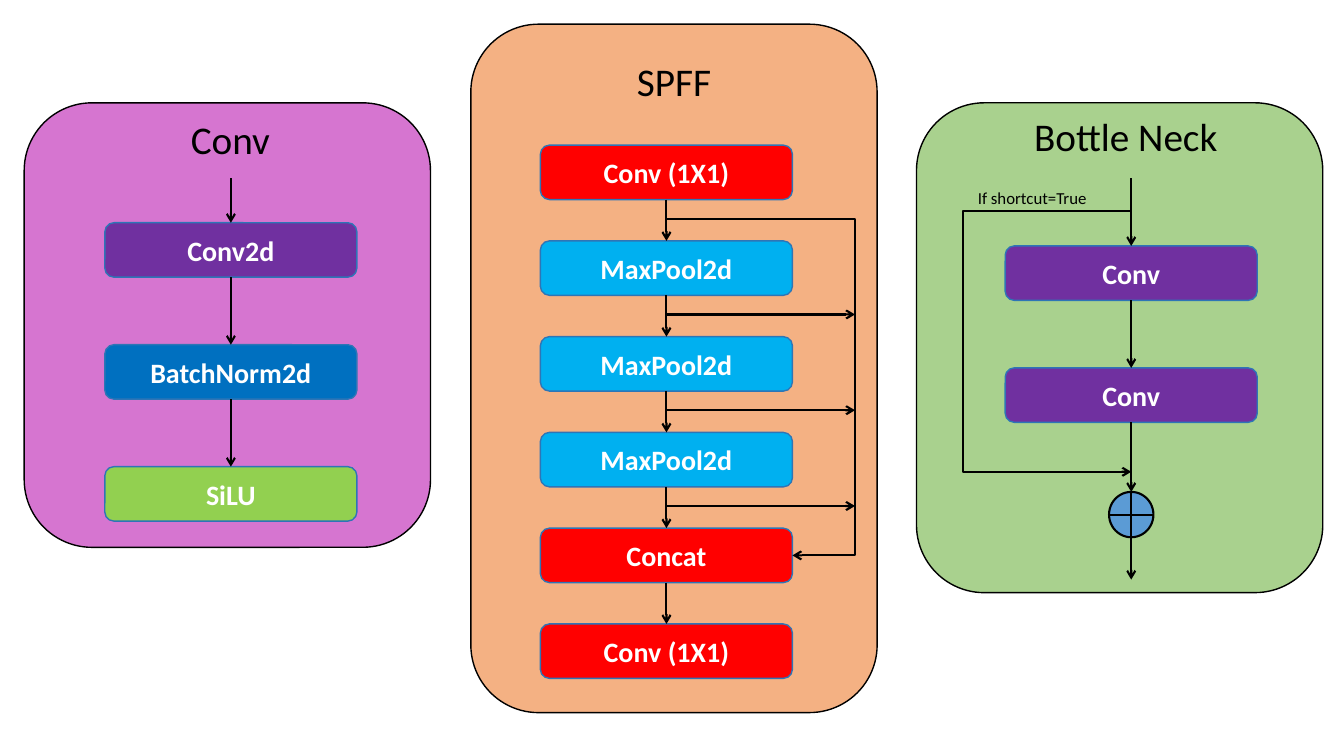
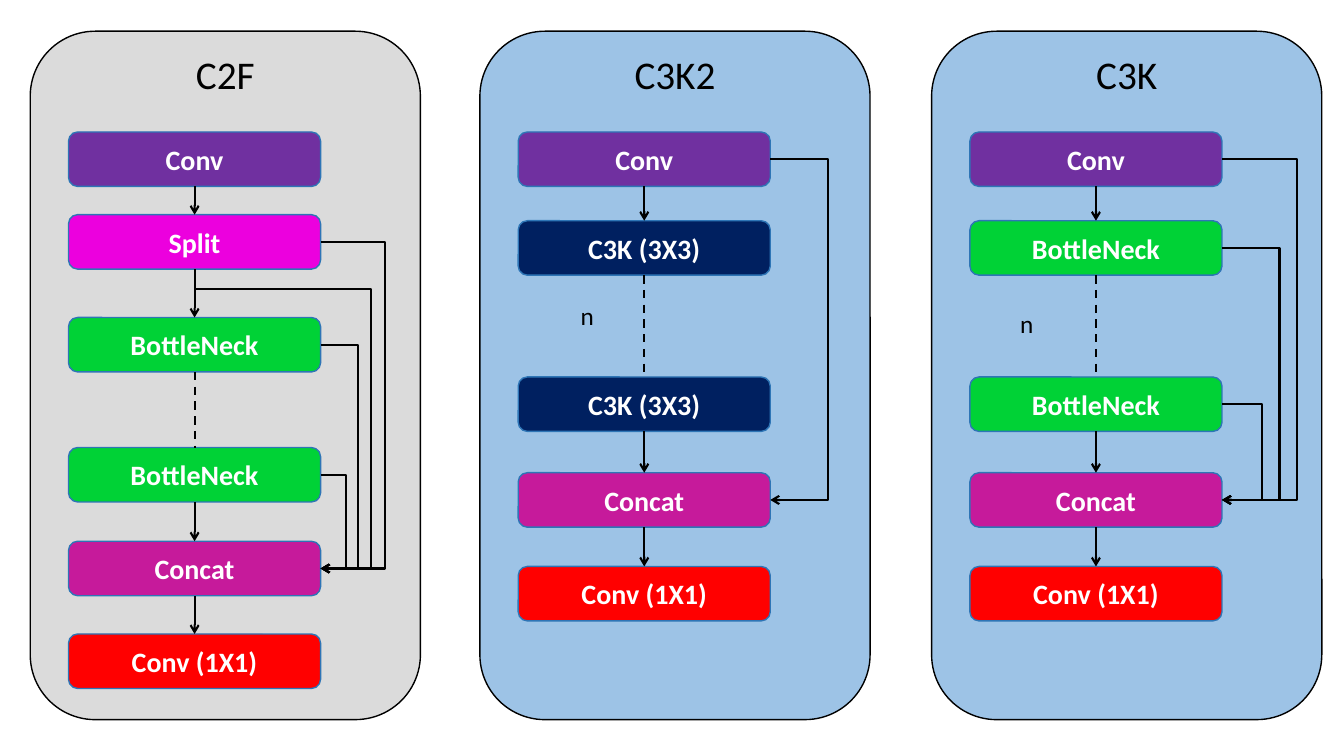
from lxml import etree
from pptx import Presentation
from pptx import util as u
from pptx.dml.color import RGBColor
from pptx.enum import dml, shapes, text
from pptx.oxml.ns import qn

COLORS = {
    "black": "000000", "white": "FFFFFF", "edge": "2E75B6",
    "orchid": "D675D0", "peach": "F4B183", "sage": "A9D18E",
    "grey": "DBDBDB", "sky": "9DC3E6", "purple": "7030A0",
    "blue": "0070C0", "lime": "92D050", "red": "FF0000",
    "cyan": "00B0F0", "steel": "5B9BD5", "pink": "EC00DE",
    "green": "00D236", "magenta": "C61A9B", "navy": "002060",
}
FONT = "Calibri"
BLOCK_W, BLOCK_H = 2.5, 0.54
LINE_PT = 1.5


def color(name):
    """Return the named colour."""
    return RGBColor.from_string(COLORS[name])


def write(shape, label, size, ink, bold=False, align=text.PP_ALIGN.CENTER):
    """Put one run of text into a shape."""
    paragraph = shape.text_frame.paragraphs[0]
    paragraph.alignment = align
    run = paragraph.add_run()
    run.text = label
    run.font.name = FONT
    run.font.size = u.Pt(size)
    run.font.bold = bold
    run.font.color.rgb = color(ink)


def add_text(slide, left, top, width, height, label, size, align):
    """Add a text box that grows with its text."""
    box = slide.shapes.add_textbox(*map(u.Inches, (left, top, width, height)))
    box.text_frame.word_wrap = True
    box.text_frame.auto_size = text.MSO_AUTO_SIZE.SHAPE_TO_FIT_TEXT
    write(box, label, size, "black", align=align)


def add_filled(slide, kind, left, top, width, height, fill, edge, weight=1):
    """Add a filled and outlined preset shape."""
    shape = slide.shapes.add_shape(
        kind, *map(u.Inches, (left, top, width, height)))
    shape.shadow.inherit = False
    shape.fill.solid()
    shape.fill.fore_color.rgb = color(fill)
    shape.line.color.rgb = color(edge)
    shape.line.width = u.Pt(weight)
    return shape


def style_line(line, arrow=True, dashed=False):
    """Give a line its ink, weight, dash and arrowhead."""
    line.color.rgb = color("black")
    line.width = u.Pt(LINE_PT)
    if dashed:
        line.dash_style = dml.MSO_LINE.DASH
    if arrow:
        properties = line._get_or_add_ln()
        etree.SubElement(properties, qn("a:tailEnd"), type="arrow")


def add_line(slide, start, end, arrow=True, dashed=False):
    """Draw a straight connector between two points."""
    connector = slide.shapes.add_connector(
        shapes.MSO_CONNECTOR.STRAIGHT, *map(u.Inches, (*start, *end)))
    style_line(connector.line, arrow, dashed)
    etree.SubElement(connector._element.spPr, qn("a:effectLst"))
    return connector


def join(slide, upper, lower, dashed=False):
    """Connect the bottom of one shape to the top of the next."""
    connector = add_line(slide, (0, 0), (1, 1), not dashed, dashed)
    connector.begin_connect(upper, 2)
    connector.end_connect(lower, 0)


def add_route(slide, origin, points):
    """Draw a right-angled arrow through points relative to a panel."""
    start, *rest = [
        (u.Inches(origin[0] + x), u.Inches(origin[1] + y)) for x, y in points]
    builder = slide.shapes.build_freeform(*start, scale=1.0)
    builder.add_line_segments(rest, close=False)
    route = builder.convert_to_shape()
    route.shadow.inherit = False
    route.fill.background()
    style_line(route.line)


def add_panel(slide, origin, width, height, fill, title, title_top, shift=0):
    """Draw a rounded panel with its title."""
    left, top = origin
    add_filled(slide, shapes.MSO_SHAPE.ROUNDED_RECTANGLE,
               left, top, width, height, fill, "black")
    title_width = 2.4
    add_text(slide, left + (width - title_width) / 2 + shift, top + title_top,
             title_width, 0.57, title, 28, text.PP_ALIGN.CENTER)


def add_stack(slide, origin, left, tops, layers, dashed_after=None):
    """Stack labelled blocks in a panel and join them in order."""
    blocks = []
    for top, (label, fill) in zip(tops, layers):
        block = add_filled(
            slide, shapes.MSO_SHAPE.ROUNDED_RECTANGLE, origin[0] + left,
            origin[1] + top, BLOCK_W, BLOCK_H, fill, "edge")
        block.text_frame.vertical_anchor = text.MSO_ANCHOR.MIDDLE
        write(block, label, 20, "white", bold=True)
        blocks.append(block)
    for index, (upper, lower) in enumerate(zip(blocks, blocks[1:])):
        join(slide, upper, lower, index == dashed_after)
    return blocks


def add_entry(slide, origin, x, block):
    """Draw the arrow that enters the first block of a panel."""
    connector = add_line(slide, (origin[0] + x, origin[1] + 0.75), (1, 1))
    connector.end_connect(block, 0)


def add_skips(slide, origin, left, tops, lanes, target):
    """Route the right side of blocks along lanes into a target block."""
    right = left + BLOCK_W
    end = tops[target] + BLOCK_H / 2
    for index, lane in lanes.items():
        start = tops[index] + BLOCK_H / 2
        add_route(slide, origin,
                  [(right, start), (lane, start), (lane, end), (right, end)])


def conv_panel(slide, origin):
    """Draw the Conv module."""
    add_panel(slide, origin, 4.03, 4.41, "orchid", "Conv", 0.07, 0.03)
    left = 0.8
    tops = [1.19 + 1.21 * row for row in range(3)]
    blocks = add_stack(slide, origin, left, tops, [
        ("Conv2d", "purple"), ("BatchNorm2d", "blue"), ("SiLU", "lime")])
    add_entry(slide, origin, left + BLOCK_W / 2, blocks[0])


def spff_panel(slide, origin):
    """Draw the SPFF module with its pooling taps."""
    add_panel(slide, origin, 4.03, 6.83, "peach", "SPFF", 0.28)
    left, pitch, lane, tap = 0.69, 0.95, 3.81, 1.93
    tops = [1.2 + pitch * row for row in range(6)]
    pools = [("MaxPool2d", "cyan")] * 3
    add_stack(slide, origin, left, tops, [
        ("Conv (1X1)", "red"), *pools, ("Concat", "red"),
        ("Conv (1X1)", "red")])
    middle = left + BLOCK_W / 2
    end = tops[4] + BLOCK_H / 2
    add_route(slide, origin, [
        (middle, tap), (lane, tap), (lane, end), (left + BLOCK_W, end)])
    for row in range(1, 4):
        y = origin[1] + tap + pitch * row
        add_line(slide, (origin[0] + middle, y), (origin[0] + lane, y))


def bottleneck_panel(slide, origin):
    """Draw the Bottle Neck module with its optional shortcut."""
    add_panel(slide, origin, 4.03, 4.86, "sage", "Bottle Neck", 0.05, 0.06)
    left, top = origin
    stack_left, lane, fork, merge = 0.88, 0.46, 1.07, 3.66
    middle = stack_left + BLOCK_W / 2
    blocks = add_stack(slide, origin, stack_left, [1.42, 2.63],
                       [("Conv", "purple")] * 2)
    add_entry(slide, origin, middle, blocks[0])
    total = add_filled(slide, shapes.MSO_SHAPE.FLOWCHART_OR,
                       left + middle - 0.22, top + 3.86, 0.44, 0.45,
                       "steel", "black", LINE_PT)
    join(slide, blocks[-1], total)
    add_line(slide, (left + middle, top + 4.31), (left + middle, top + 4.73))
    add_route(slide, origin, [
        (middle, fork), (lane, fork), (lane, merge), (middle, merge)])
    add_text(slide, left + 0.51, top + 0.79, 1.4, 0.3,
             "If shortcut=True", 12, text.PP_ALIGN.LEFT)


def c2f_panel(slide, origin):
    """Draw the C2F module with its split and skip routes."""
    add_panel(slide, origin, 3.87, 6.83, "grey", "C2F", 0.14)
    left, fork, lane = 0.38, 2.56, 3.38
    tops = [1.0, 1.82, 2.84, 4.13, 5.06, 5.98]
    add_stack(slide, origin, left, tops, [
        ("Conv", "purple"), ("Split", "pink"), ("BottleNeck", "green"),
        ("BottleNeck", "green"), ("Concat", "magenta"),
        ("Conv (1X1)", "red")], dashed_after=2)
    add_skips(slide, origin, left, tops, {1: 3.52, 2: 3.25, 3: 3.13}, 4)
    end = tops[4] + BLOCK_H / 2
    add_route(slide, origin, [
        (left + BLOCK_W / 2, fork), (lane, fork), (lane, end),
        (left + BLOCK_W, end)])


def c3_panel(slide, origin, title, repeated, lanes, count_at):
    """Draw a C3 module around a block repeated n times."""
    add_panel(slide, origin, 3.87, 6.83, "sky", title, 0.14)
    left = 0.38
    tops = [1.0, 1.88, 3.43, 4.38, 5.31]
    add_stack(slide, origin, left, tops, [
        ("Conv", "purple"), repeated, repeated, ("Concat", "magenta"),
        ("Conv (1X1)", "red")], dashed_after=1)
    add_skips(slide, origin, left, tops, lanes, 3)
    add_text(slide, origin[0] + count_at[0], origin[1] + count_at[1],
             0.34, 0.4, "n", 18, text.PP_ALIGN.LEFT)


def main():
    """Build both slides and save them."""
    presentation = Presentation()
    presentation.slide_width = u.Inches(13.33)
    presentation.slide_height = u.Inches(7.5)
    blank = presentation.slide_layouts[6]

    basics = presentation.slides.add_slide(blank)
    conv_panel(basics, (0.24, 1.02))
    spff_panel(basics, (4.67, 0.24))
    bottleneck_panel(basics, (9.09, 1.02))

    composites = presentation.slides.add_slide(blank)
    c2f_panel(composites, (0.3, 0.31))
    c3_panel(composites, (4.76, 0.31), "C3K2", ("C3K (3X3)", "navy"),
             {0: 3.45}, (0.9, 2.62))
    c3_panel(composites, (9.24, 0.31), "C3K", ("BottleNeck", "green"),
             {0: 3.62, 1: 3.45, 2: 3.28}, (0.78, 2.7))
    presentation.save("out.pptx")


if __name__ == "__main__":
    main()
